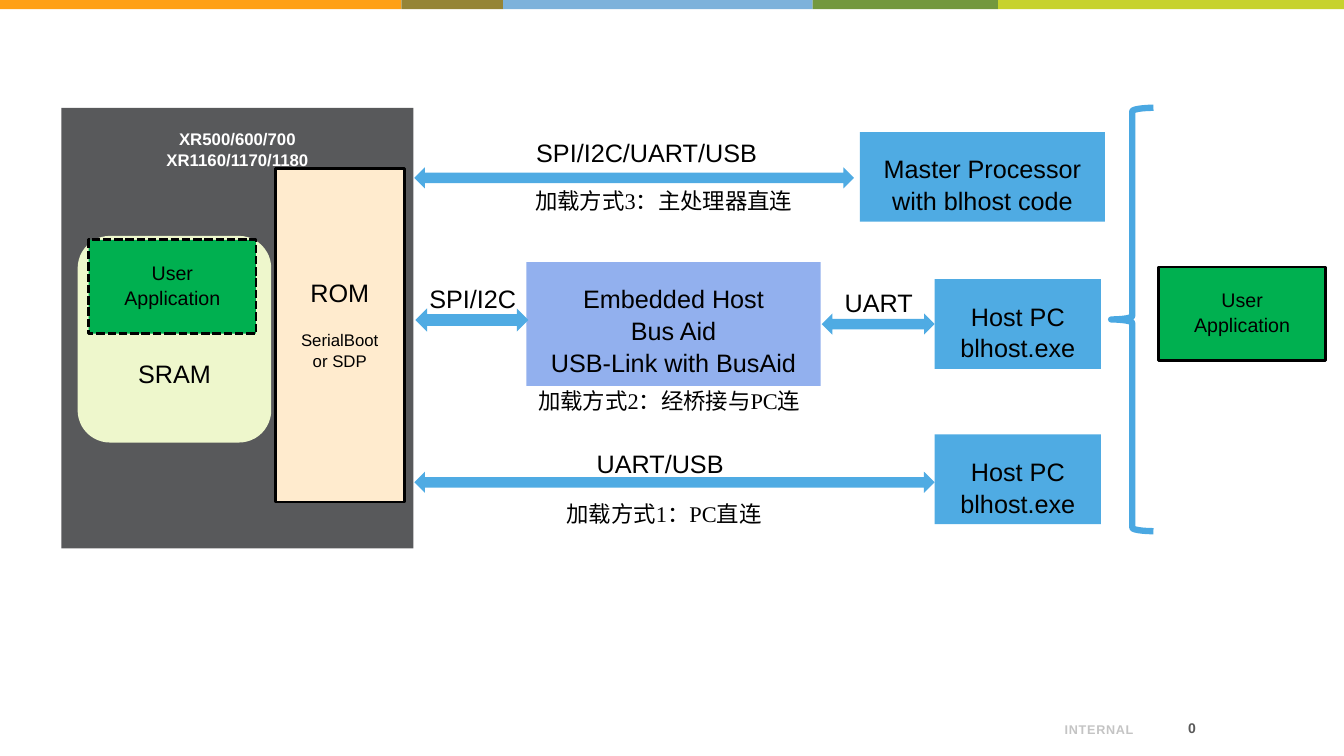
from pptx import Presentation
from pptx.dml.color import RGBColor
from pptx.enum.dml import MSO_LINE
from pptx.enum.shapes import MSO_SHAPE
from pptx.enum.text import MSO_ANCHOR, PP_ALIGN
from pptx.util import Inches, Pt

RECTANGLE, ROUNDED = MSO_SHAPE.RECTANGLE, MSO_SHAPE.ROUNDED_RECTANGLE
ARROW, BRACE = MSO_SHAPE.LEFT_RIGHT_ARROW, MSO_SHAPE.LEFT_BRACE
LEFT, CENTER, RIGHT = PP_ALIGN.LEFT, PP_ALIGN.CENTER, PP_ALIGN.RIGHT
TOP, MIDDLE, BOTTOM = MSO_ANCHOR.TOP, MSO_ANCHOR.MIDDLE, MSO_ANCHOR.BOTTOM
DASHED = MSO_LINE.SQUARE_DOT

BLACK = RGBColor(0x00, 0x00, 0x00)
WHITE = RGBColor(0xFF, 0xFF, 0xFF)
CHARCOAL = RGBColor(0x58, 0x59, 0x5B)
DARK_GRAY = RGBColor(0x59, 0x59, 0x59)
LIGHT_GRAY = RGBColor(0xC4, 0xC4, 0xC4)
PALE_GREEN = RGBColor(0xEE, 0xF7, 0xCC)
GREEN = RGBColor(0x00, 0xB0, 0x50)
CREAM = RGBColor(0xFF, 0xEB, 0xCE)
PERIWINKLE = RGBColor(0x92, 0xB0, 0xEE)
SKY = RGBColor(0x4F, 0xAB, 0xE3)
BRACE_BLUE = RGBColor(0x4A, 0xA8, 0xE2)
BAND = [
    (3.98, RGBColor(0xFF, 0xA0, 0x15)),
    (1.01, RGBColor(0x95, 0x84, 0x36)),
    (3.07, RGBColor(0x7D, 0xB2, 0xDB)),
    (1.84, RGBColor(0x73, 0x98, 0x3E)),
    (3.44, RGBColor(0xC7, 0xD2, 0x2D)),
]

SLIDE_WIDTH, SLIDE_HEIGHT = 13.33, 7.5
CELL = 0.1
INSET = 0.2
LATIN, SERIF = "Arial", "Times New Roman"
APPLICATION = ["User", "Application"]
APPLICATION_SIZE = (16.6, 9.3)


def within(box, column, row, columns, rows):
    """Return the box that covers the given grid cells of another box."""
    return (box[0] + column * CELL, box[1] + row * CELL, columns * CELL, rows * CELL)


def write(frame, lines, size, color=BLACK, font=LATIN, bold=False, align=CENTER, anchor=TOP):
    """Fill a text frame with one paragraph for each line."""
    frame.word_wrap = True
    frame.vertical_anchor = anchor
    for index, line in enumerate(lines):
        para = frame.paragraphs[0] if index == 0 else frame.add_paragraph()
        para.alignment = align
        para.line_spacing = 1.05
        span = para.add_run()
        span.text = line
        span.font.name, span.font.size, span.font.bold = font, Pt(size), bold
        span.font.color.rgb = color
    return frame


def draw(page, kind, box, fill=None, line=None, weight=2):
    """Add a flat preset shape with optional fill and outline."""
    shape = page.shapes.add_shape(kind, *map(Inches, box))
    shape.shadow.inherit = False
    if fill is None:
        shape.fill.background()
    else:
        shape.fill.solid()
        shape.fill.fore_color.rgb = fill
    if line is None:
        shape.line.fill.background()
    else:
        shape.line.color.rgb = line
        shape.line.width = Pt(weight)
    return shape


def block(page, box, fill, lines, size=18, kind=RECTANGLE, line=None, top=INSET, **style):
    """Add a filled block with centred text below its top inset."""
    shape = draw(page, kind, box, fill, line)
    frame = shape.text_frame
    frame.margin_left = frame.margin_right = frame.margin_bottom = Inches(INSET)
    frame.margin_top = Inches(top)
    write(frame, lines, size, **style)
    return shape


def label(page, box, text, size=18, align=LEFT, **style):
    """Add a line of free text."""
    frame = page.shapes.add_textbox(*map(Inches, box)).text_frame
    return write(frame, [text], size, align=align, **style)


def add_band(page, box):
    """Draw the coloured segments along the top edge."""
    left, top, _, height = box
    for width, color in BAND:
        draw(page, RECTANGLE, (left, top, width, height), color)
        left += width


def add_footer(page, box):
    """Write the classification and the page number."""
    number = label(page, within(box, 27.7, 0.5, 6.5, 3), "0", 10, RIGHT,
                   color=DARK_GRAY, bold=True, anchor=MIDDLE)
    number.margin_left = number.margin_right = Inches(0.07)
    mark = label(page, within(box, 0, 0, 28.3, 3.4), "INTERNAL", 9, RIGHT,
                 color=LIGHT_GRAY, bold=True, anchor=BOTTOM)
    mark.paragraphs[0].runs[0]._r.get_or_add_rPr().set("spc", "50")


def add_device(page, box):
    """Draw the target chip with its memory, application and boot ROM."""
    block(page, box, CHARCOAL, ["XR500/600/700", "XR1160/1170/1180"], 12,
          color=WHITE, bold=True)
    block(page, within(box, 1.6, 12.7, 19.2, 20.5), PALE_GREEN, ["SRAM"],
          kind=ROUNDED, top=1.11)
    application = block(page, within(box, 2.7, 13.1, *APPLICATION_SIZE), GREEN,
                        APPLICATION, 14, line=BLACK)
    application.line.dash_style = DASHED
    rom = block(page, within(box, 21.2, 6, 12.8, 33.1), CREAM,
                ["ROM", "SerialBoot or SDP"], line=BLACK, top=1.07)
    loader = rom.text_frame.paragraphs[1]
    loader.space_before = Pt(15)
    loader.runs[0].font.size = Pt(12)


def add_load_paths(page, box):
    """Draw the hosts, the arrows to the device and the three load methods."""
    blocks = [
        ((11.1, 15.3, 29.2, 12.3), PERIWINKLE,
         ["Embedded Host", "Bus Aid", "USB-Link with BusAid"]),
        ((44.2, 2.4, 24.3, 8.9), SKY, ["Master Processor", "with blhost code"]),
    ]
    blocks += [((51.6, row, 16.5, 8.9), SKY, ["Host PC", "blhost.exe"])
               for row in (17, 32.4)]
    for cells, fill, lines in blocks:
        block(page, within(box, *cells), fill, lines)

    arrows = [(0, 5.9, 43.6, 2.1), (0.1, 19.9, 11.2, 2.3),
              (40.4, 20.4, 11.2, 2.1), (0, 36.1, 51.6, 2.1)]
    for cells in arrows:
        draw(page, ARROW, within(box, *cells), SKY)

    buses = [(11.1, 2.3, 25.6, "SPI/I2C/UART/USB"), (0.5, 16.8, 11.3, "SPI/I2C"),
             (41.7, 17.2, 9, "UART"), (17.1, 33.1, 16, "UART/USB")]
    for column, row, columns, text in buses:
        label(page, within(box, column, row, columns, 4), text)

    methods = [(14.1, 38.3, 25.6, "加载方式1：PC直连"),
               (11.3, 27.1, 30, "加载方式2：经桥接与PC连"),
               (11, 7.2, 27.9, "加载方式3：主处理器直连")]
    for column, row, columns, text in methods:
        label(page, within(box, column, row, columns, 3.7), text, 16, font=SERIF)


def add_source_application(page, box):
    """Draw the brace and the application that every host loads."""
    draw(page, BRACE, within(box, 0, 0, 4.2, 42), line=BRACE_BLUE, weight=4.5)
    block(page, within(box, 4.7, 15.8, *APPLICATION_SIZE), GREEN, APPLICATION, 14,
          line=BLACK)


def main():
    """Build the slide and save the deck."""
    deck = Presentation()
    deck.slide_width, deck.slide_height = Inches(SLIDE_WIDTH), Inches(SLIDE_HEIGHT)
    page = deck.slides.add_slide(deck.slide_layouts.get_by_name("Blank"))
    add_band(page, (0, 0, SLIDE_WIDTH, 0.09))
    add_footer(page, (8.51, 7.02, 3.42, 0.35))
    add_device(page, (0.61, 1.07, 3.49, 4.37))
    add_load_paths(page, (4.11, 1.07, 6.85, 4.2))
    add_source_application(page, (11.02, 1.07, 2.13, 4.2))
    deck.save("out.pptx")


if __name__ == "__main__":
    main()
